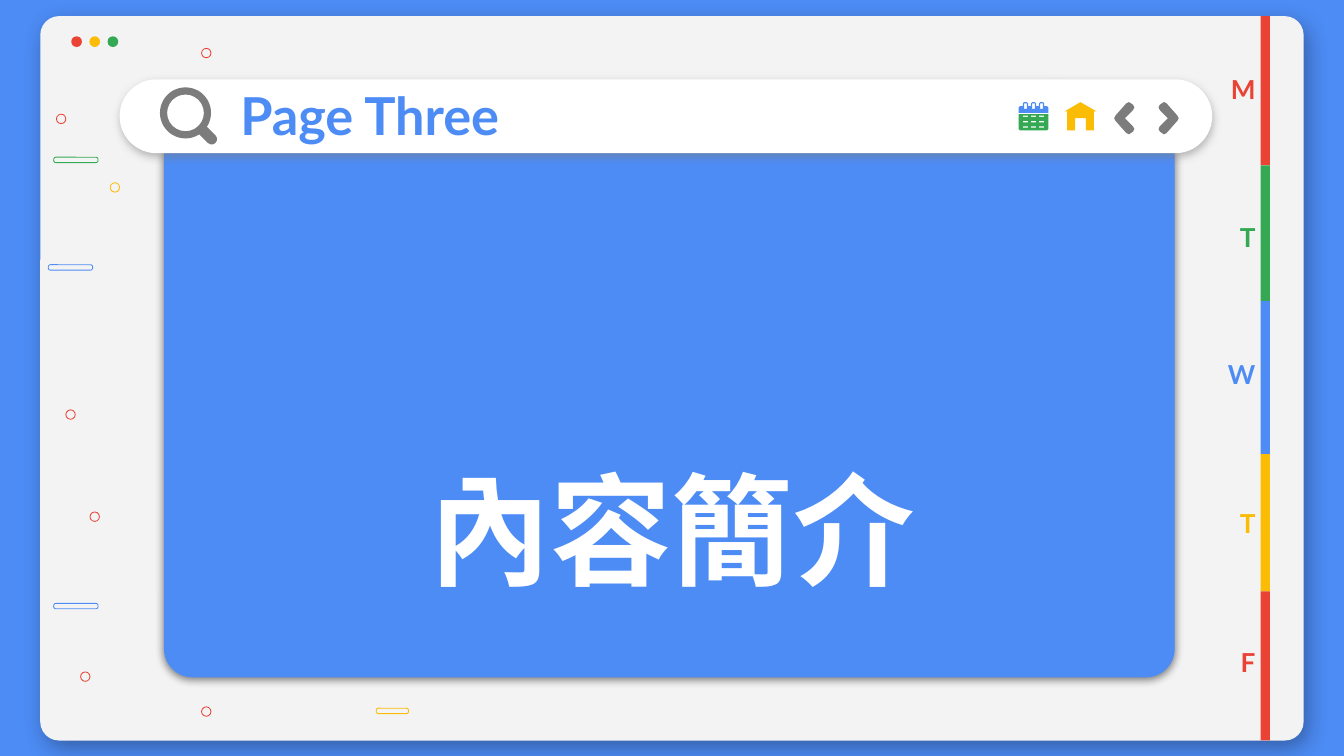
from lxml import etree
from pptx import Presentation
from pptx import util as u
from pptx.dml.color import RGBColor
from pptx.enum import lang, shapes, text
from pptx.oxml import ns

BLUE = RGBColor(0x4D, 0x8C, 0xF5)
RED = RGBColor(0xEA, 0x43, 0x35)
YELLOW = RGBColor(0xFB, 0xBC, 0x05)
GREEN = RGBColor(0x34, 0xA8, 0x53)
GRAY = RGBColor(0x7C, 0x7C, 0x7C)
LIGHT = RGBColor(0xF3, 0xF3, 0xF3)
WHITE = RGBColor(0xFF, 0xFF, 0xFF)
BLACK = RGBColor(0, 0, 0)

RECT = shapes.MSO_SHAPE.RECTANGLE
ROUND = shapes.MSO_SHAPE.ROUNDED_RECTANGLE
OVAL = shapes.MSO_SHAPE.OVAL
DONUT = shapes.MSO_SHAPE.DONUT

prs = Presentation()
prs.slide_width = u.Inches(10)
prs.slide_height = u.Inches(10) * 9 // 16
s = prs.slides.add_slide(prs.slide_layouts[6])
s.background.fill.solid()
s.background.fill.fore_color.rgb = BLUE


def add_shape(kind, box=None, contours=None, fill=None, line=None, adj=None, shadow=None):
    if contours:
        first, *rest = [[(u.Inches(x), u.Inches(y)) for x, y in c] for c in contours]
        fb = s.shapes.build_freeform(*first[0])
        fb.add_line_segments(first[1:], close=True)
        for c in rest:
            fb.move_to(*c[0])
            fb.add_line_segments(c[1:], close=True)
        sp = fb.convert_to_shape()
    else:
        sp = s.shapes.add_shape(kind, *[u.Inches(v) for v in box])
    if adj is not None:
        sp.adjustments[0] = adj
    if fill is None:
        sp.fill.background()
    else:
        sp.fill.solid()
        sp.fill.fore_color.rgb = fill
    if line is None:
        sp.line.fill.background()
    else:
        sp.line.color.rgb = line
        sp.line.width = u.Pt(0.44)
    sp.shadow.inherit = False
    if shadow:
        color, alpha, blur, dist, angle = shadow
        effects = sp._element.spPr.find(ns.qn("a:effectLst"))
        outer = etree.SubElement(effects, ns.qn("a:outerShdw"), blurRad=str(u.Pt(blur)),
                                 dist=str(u.Pt(dist)), dir=str(angle * 60000),
                                 algn="bl", rotWithShape="0")
        clr = etree.SubElement(outer, ns.qn("a:srgbClr"), val=str(color))
        etree.SubElement(clr, ns.qn("a:alpha"), val=str(alpha * 1000))
    return sp


def add_text(txt, box, size, color, align=text.PP_ALIGN.LEFT):
    tf = s.shapes.add_textbox(*[u.Inches(v) for v in box]).text_frame
    tf.word_wrap = True
    tf.vertical_anchor = text.MSO_ANCHOR.MIDDLE
    tf.margin_left = tf.margin_right = tf.margin_top = tf.margin_bottom = u.Inches(0.1)
    p = tf.paragraphs[0]
    p.alignment = align
    r = p.add_run()
    r.text = txt
    r.font.size = u.Pt(size)
    r.font.bold = True
    r.font.name = "Lato"
    r.font.color.rgb = color
    r.font.language_id = lang.MSO_LANGUAGE_ID.TRADITIONAL_CHINESE
    etree.SubElement(r.font._element, ns.qn("a:ea"), typeface="Lato")


add_shape(ROUND, (0.3, 0.12, 9.4, 5.39), fill=LIGHT, adj=0.026, shadow=(BLACK, 32, 12.4, 5.2, 57))
for i, color in enumerate((RED, YELLOW, GREEN)):
    add_shape(OVAL, (0.53 + 0.135 * i, 0.27, 0.08, 0.08), fill=color)

for x, y, color in [(0.67, 3.81, RED), (0.82, 1.36, YELLOW), (0.42, 0.85, RED), (0.6, 5, RED),
                    (0.49, 3.05, RED), (1.5, 0.36, RED), (1.5, 5.26, RED)]:
    add_shape(OVAL, (x, y, 0.07, 0.07), line=color)
for x, y, w, color in [(2.8, 5.27, 0.24, YELLOW), (0.36, 1.97, 0.33, BLUE),
                       (0.4, 4.49, 0.33, BLUE), (0.4, 1.17, 0.33, GREEN)]:
    add_shape(ROUND, (x, y, w, 0.04), line=color, adj=0.4)

add_shape(ROUND, (1.22, 0.96, 7.52, 4.08), fill=BLUE, adj=0.052, shadow=(BLACK, 50, 4.5, 1.5, 90))
add_shape(ROUND, (0.89, 0.59, 8.13, 0.55), fill=WHITE, adj=0.5, shadow=(GRAY, 50, 4.5, 1.5, 90))

add_shape(DONUT, (1.19, 0.65, 0.38, 0.38), fill=GRAY, adj=0.14)
handle = add_shape(ROUND, (1.45, 0.96, 0.18, 0.08), fill=GRAY, adj=0.5)
handle.rotation = 45

add_text("Page Three", (1.69, 0.64, 6.43, 0.42), 28, BLUE)
add_text("內容簡介", (1.77, 3.13, 6.46, 1.6), 65, WHITE, text.PP_ALIGN.CENTER)

top = 0.12
for day, h, label_top, color in [("M", 1.11, 0.51, RED), ("T", 1.01, 1.61, GREEN),
                                 ("W", 1.14, 2.63, BLUE), ("T", 1.02, 3.74, YELLOW),
                                 ("F", 1.11, 4.77, RED)]:
    add_shape(RECT, (9.38, top, 0.07, h), fill=color)
    add_text(day, (8.96, label_top, 0.48, 0.31), 14, color, text.PP_ALIGN.RIGHT)
    top += h

body = [[(7.58, 0.85), (7.58, 0.96), (7.59, 0.97), (7.79, 0.97), (7.8, 0.96), (7.8, 0.85)]]
header = [(7.58, 0.84), (7.58, 0.8), (7.59, 0.79)]
slots = []
for col in range(3):
    x = 7.61 + 0.06 * col
    header += [(x, 0.79), (x, 0.77), (x + 0.01, 0.76), (x + 0.03, 0.76), (x + 0.04, 0.77), (x + 0.04, 0.79)]
    slots.append([(x + 0.01, 0.77), (x + 0.03, 0.77), (x + 0.03, 0.81), (x + 0.01, 0.81)])
    for row in range(3):
        y = 0.86 + 0.04 * row
        body.append([(x, y), (x + 0.04, y), (x + 0.04, y + 0.01), (x, y + 0.01)])
header += [(7.79, 0.79), (7.8, 0.8), (7.8, 0.84)]
add_shape(None, contours=body, fill=GREEN)
add_shape(None, contours=[header] + slots, fill=BLUE)

home = [(8.04, 0.76), (7.92, 0.83), (7.94, 0.83), (7.94, 0.97), (8, 0.97), (8, 0.88),
        (8.08, 0.88), (8.08, 0.97), (8.14, 0.97), (8.14, 0.83), (8.16, 0.83)]
add_shape(None, contours=[home], fill=YELLOW)

forward = [(8.66, 0.76), (8.68, 0.77), (8.76, 0.86), (8.77, 0.88), (8.76, 0.9), (8.68, 0.99), (8.66, 1),
           (8.63, 0.98), (8.62, 0.96), (8.63, 0.94), (8.69, 0.88), (8.63, 0.82), (8.62, 0.8), (8.63, 0.78)]
back = [(17.06 - x, y) for x, y in forward]
for chevron in (forward, back):
    add_shape(None, contours=[chevron], fill=GRAY)

prs.save("out.pptx")
